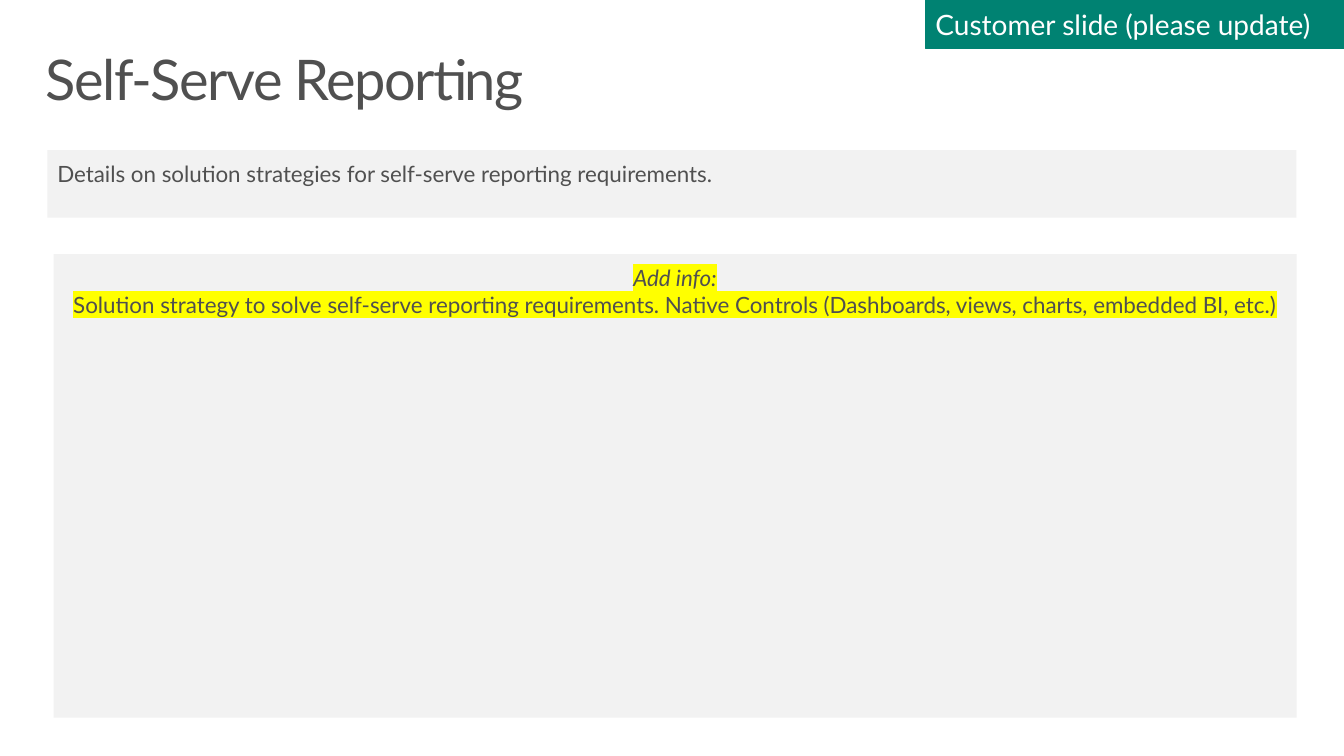
from lxml import etree
from pptx import Presentation
from pptx import util as u
from pptx.dml.color import RGBColor
from pptx.enum import shapes, text
from pptx.oxml import ns

SLIDE_WIDTH = u.Inches(13.33)
SLIDE_HEIGHT = u.Inches(7.5)
FONT = "Lato"
GREY_TEXT = RGBColor(0x50, 0x50, 0x50)
PANEL_GREY = RGBColor(0xF2, 0xF2, 0xF2)
BANNER_GREEN = RGBColor(0x00, 0x82, 0x72)
WHITE = RGBColor(0xFF, 0xFF, 0xFF)
YELLOW = RGBColor(0xFF, 0xFF, 0x00)

# Edges as percentages of the slide's width and height
MARGIN = 3.53
CONTENT_RIGHT = 100 - MARGIN


def place(left, top, right, bottom):
    """Turn edges in percent into left, top, width and height."""
    return (
        round(SLIDE_WIDTH * left / 100),
        round(SLIDE_HEIGHT * top / 100),
        round(SLIDE_WIDTH * (right - left) / 100),
        round(SLIDE_HEIGHT * (bottom - top) / 100),
    )


def set_frame(shape, insets, anchor=text.MSO_ANCHOR.TOP):
    """Set wrapping, anchor and the left, top, right, bottom insets in inches."""
    frame = shape.text_frame
    frame.word_wrap = True
    frame.vertical_anchor = anchor
    sides = ("left", "top", "right", "bottom")
    for side, inset in zip(sides, insets):
        setattr(frame, f"margin_{side}", u.Inches(inset))


def write(paragraph, words, size=16, color=GREY_TEXT, italic=False,
          align=text.PP_ALIGN.LEFT, highlight=None, tracking=None, line_spacing=None):
    paragraph.alignment = align
    paragraph.line_spacing = line_spacing
    run = paragraph.add_run()
    run.text = words
    font = run.font
    font.name, font.size, font.italic = FONT, u.Pt(size), italic
    font.color.rgb = color
    properties = run._r.get_or_add_rPr()
    if tracking is not None:
        properties.set("spc", str(round(tracking * 100)))
    if highlight is not None:
        marker = etree.Element(ns.qn("a:highlight"))
        etree.SubElement(marker, ns.qn("a:srgbClr"), val=str(highlight))
        properties.find(ns.qn("a:solidFill")).addnext(marker)


def add_box(slide, edges, fill, line=None):
    shape = slide.shapes.add_shape(shapes.MSO_SHAPE.RECTANGLE, *place(*edges))
    shape.shadow.inherit = False
    shape.fill.solid()
    shape.fill.fore_color.rgb = fill
    if line is None:
        shape.line.fill.background()
    else:
        shape.line.color.rgb = line
        shape.line.width = u.Pt(0.25)
    return shape


def add_title(slide, words):
    title = slide.shapes.add_textbox(*place(2.18, 5.6, 97.82, 18.67))
    set_frame(title, (0.16, 0.1, 0.16, 0.1))
    write(title.text_frame.paragraphs[0], words, size=40, tracking=-1, line_spacing=0.9)


def add_panel(slide, edges):
    panel = add_box(slide, edges, PANEL_GREY)
    set_frame(panel, (0.1, 0.1, 0.1, 0.05))
    return panel.text_frame


def add_banner(slide, words):
    banner = add_box(slide, (68.87, 0, 100, 6.4), BANNER_GREEN, line=BANNER_GREEN)
    set_frame(banner, (0.1, 0.05, 0.1, 0.05), text.MSO_ANCHOR.MIDDLE)
    write(banner.text_frame.paragraphs[0], words, size=20, color=WHITE)


def main():
    presentation = Presentation()
    presentation.slide_width = SLIDE_WIDTH
    presentation.slide_height = SLIDE_HEIGHT
    slide = presentation.slides.add_slide(presentation.slide_layouts[6])

    add_title(slide, "Self-Serve Reporting")

    summary = add_panel(slide, (MARGIN, 19.87, CONTENT_RIGHT, 28.8))
    write(summary.paragraphs[0],
          "Details on solution strategies for self-serve reporting requirements.")

    add_banner(slide, "Customer slide (please update)")

    details = add_panel(slide, (3.98, 33.6, CONTENT_RIGHT, 94.93))
    marked = {"align": text.PP_ALIGN.CENTER, "highlight": YELLOW}
    write(details.paragraphs[0], "Add info:", italic=True, **marked)
    write(details.add_paragraph(),
          "Solution strategy to solve self-serve reporting requirements. "
          "Native Controls (Dashboards, views, charts, embedded BI, etc.)", **marked)

    presentation.save("out.pptx")


if __name__ == "__main__":
    main()
